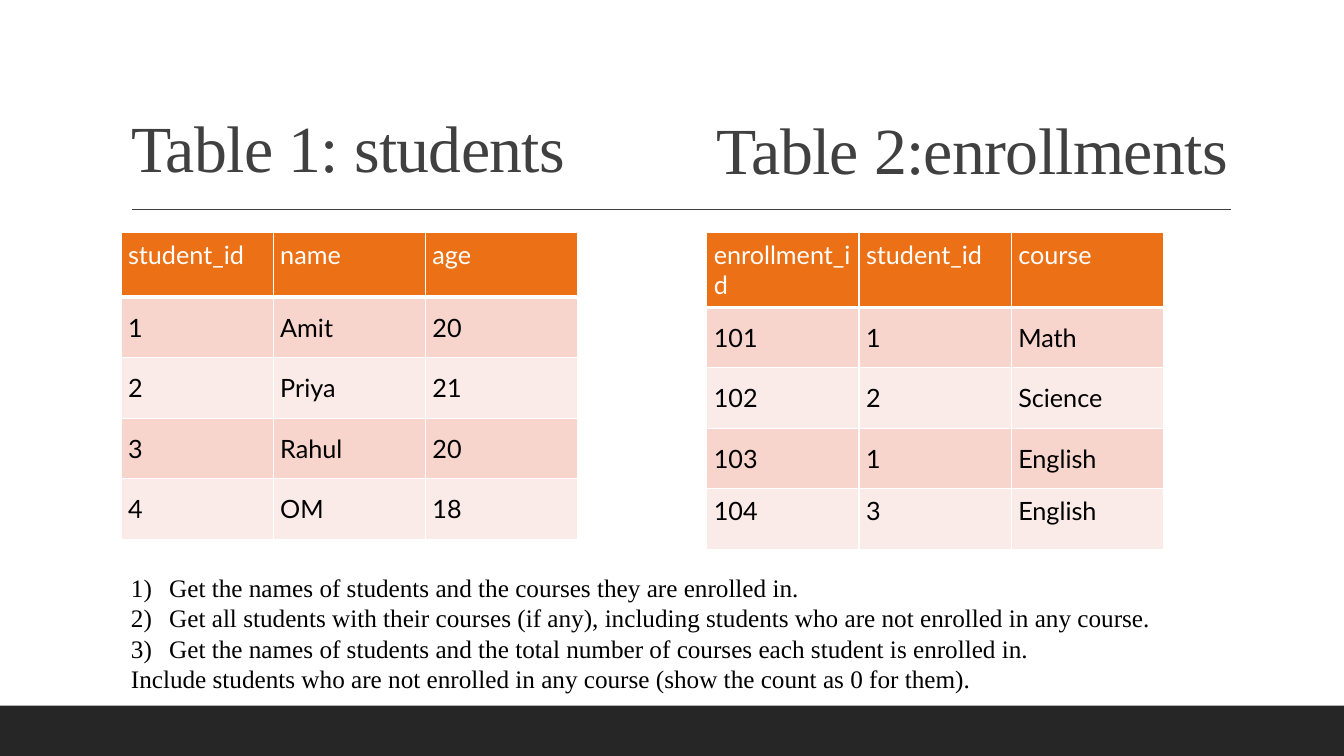
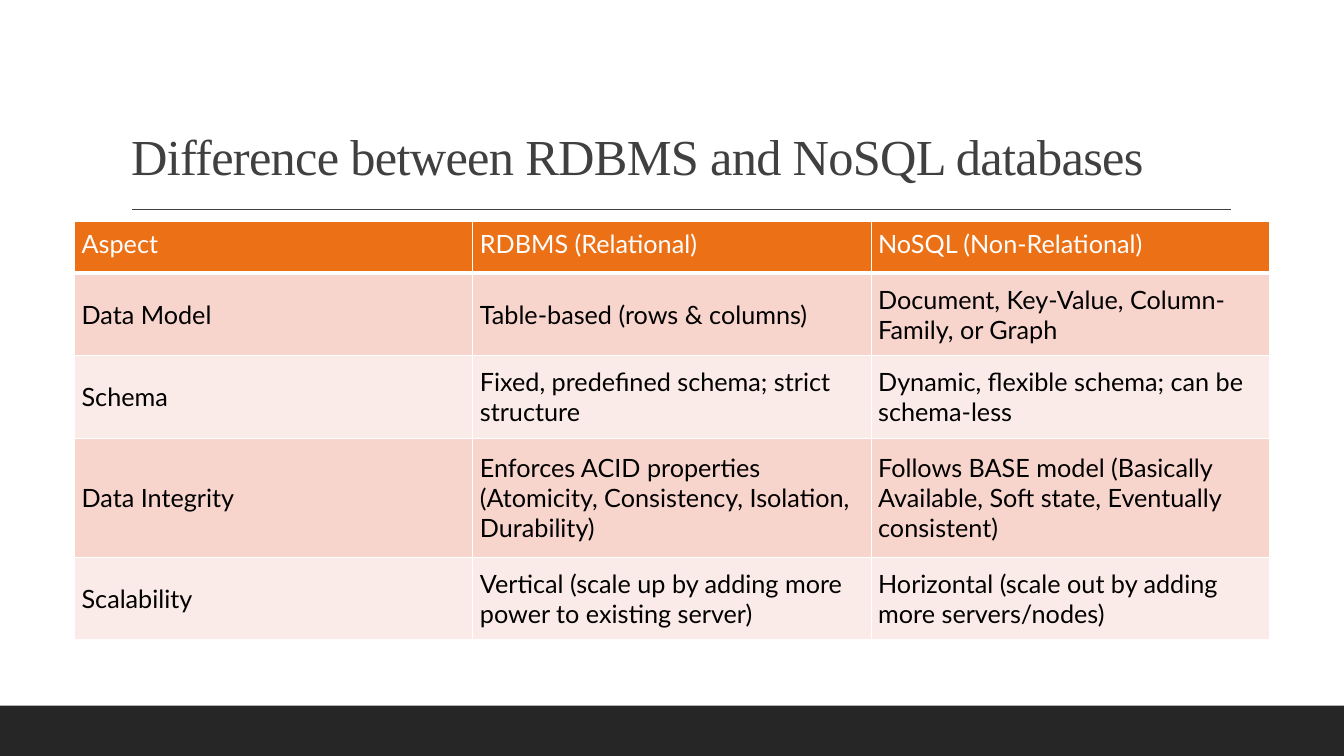
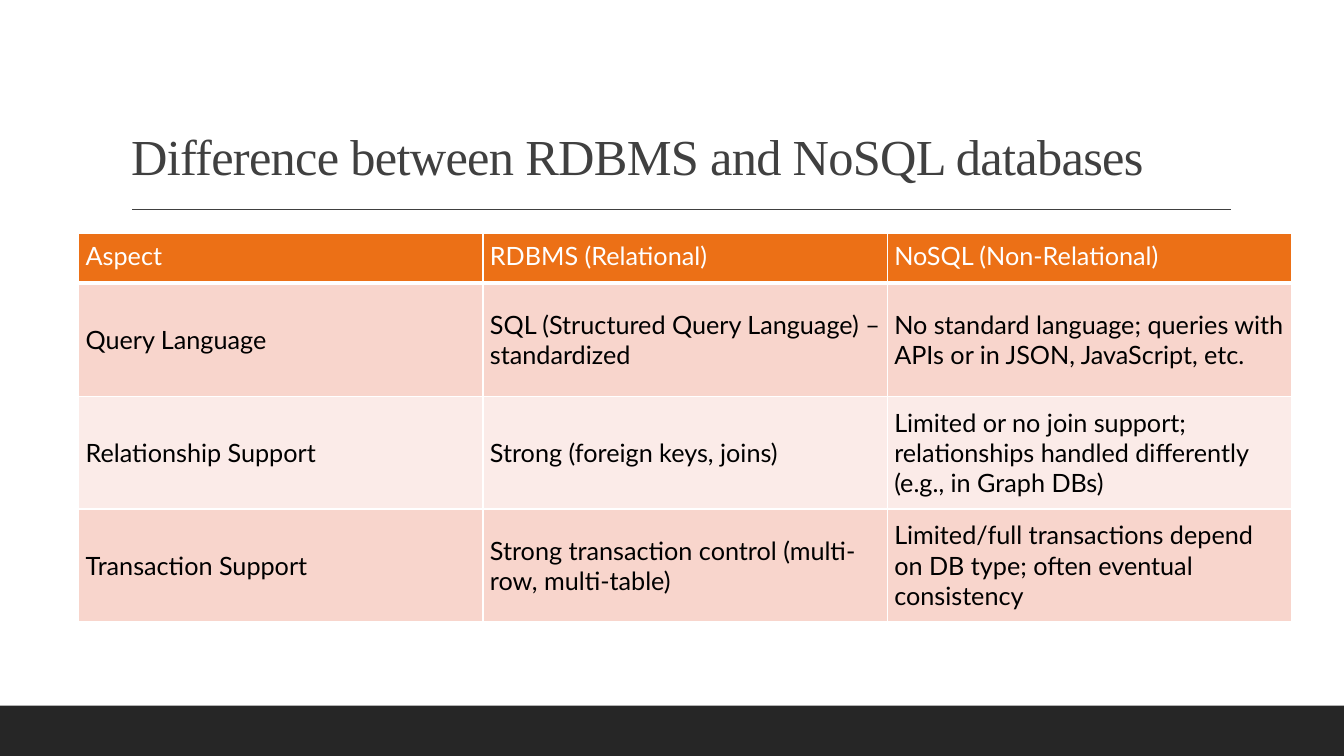
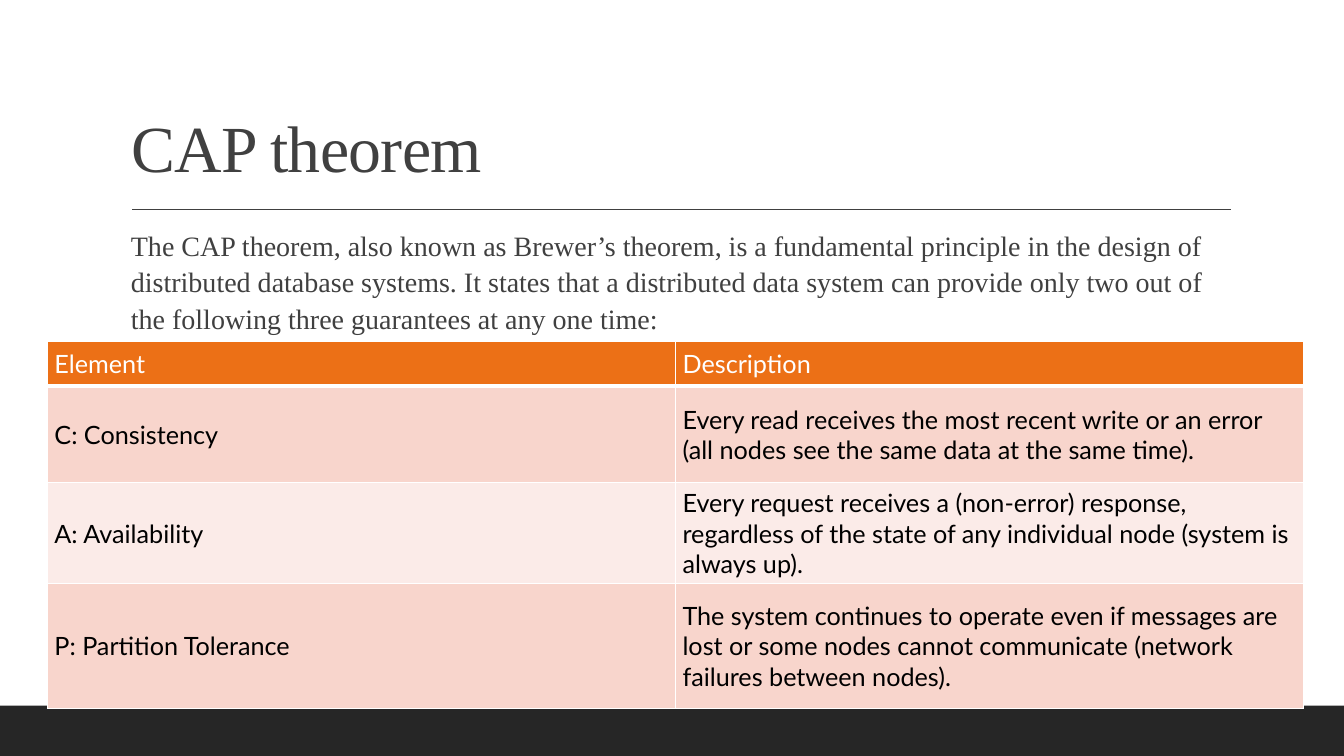
"""Build four slides on SQL joins, NoSQL databases and the CAP theorem."""
from dataclasses import dataclass

from lxml import etree
from pptx import Presentation, util as u
from pptx.dml.color import RGBColor
from pptx.enum import shapes, text
from pptx.oxml import ns


@dataclass(frozen=True)
class Theme:
    """Colours, fonts and type sizes of the deck."""
    band: str = "262626"
    grey: str = "404040"
    head: str = "EC7016"
    odd: str = "F8D5CC"
    even: str = "FBEBE8"
    white: str = "FFFFFF"
    black: str = "000000"
    serif: str = "Times New Roman"
    sans: str = "Lato"
    big: int = 47
    mid: int = 36
    lead: int = 20
    base: int = 18


T = Theme()
TITLE = dict(font=T.serif, color=T.grey, lines=0.9, track=-50)
ASPECT = ["Aspect", "RDBMS (Relational)", "NoSQL (Non-Relational)"]
VERSUS = "Difference between RDBMS and NoSQL databases"


def paint(fill, color):
    """Give a fill one solid colour."""
    fill.solid()
    fill.fore_color.rgb = RGBColor.from_string(color)


def number(para):
    """Number a paragraph with a hanging indent."""
    props = para._p.get_or_add_pPr()
    hang = u.Inches(0.38)
    props.set("marL", str(hang))
    props.set("indent", str(-hang))
    etree.SubElement(props, ns.qn("a:buAutoNum"), type="arabicParenR")


def write(frame, *lines, size=T.base, font=T.sans, color=T.black, lines_num=0,
          lines_gap=(None, None), lines_set=None, track=0, **more):
    """Fill a text frame with paragraphs in one format."""
    frame.word_wrap = True
    for i, line in enumerate(lines):
        para = frame.paragraphs[0] if i == 0 else frame.add_paragraph()
        para.alignment = text.PP_ALIGN.LEFT
        para.line_spacing = more.get("lines", lines_set)
        para.space_before, para.space_after = lines_gap
        if i < lines_num:
            number(para)
        run = para.add_run()
        run.text = line
        run.font.size = u.Pt(size)
        run.font.name = font
        run.font.bold = False
        run.font.color.rgb = RGBColor.from_string(color)
        if track:
            run.font._element.set("spc", str(track))


def place(shape, *box):
    """Set left, top, width and height in inches."""
    shape.left, shape.top, shape.width, shape.height = map(u.Inches, box)


def label(slide, box, *lines, low=False, **form):
    """Add a text box."""
    frame = slide.shapes.add_textbox(*map(u.Inches, box)).text_frame
    if low:
        frame.vertical_anchor = text.MSO_ANCHOR.BOTTOM
    write(frame, *lines, **form)


def start(pres, title, size=T.big):
    """Add a slide with its title."""
    slide = pres.slides.add_slide(pres.slide_layouts[5])
    head = slide.shapes.title
    place(head, 1.2, 0.31, 11, 1.59)
    head.text_frame.auto_size = text.MSO_AUTO_SIZE.NONE
    head.text_frame.vertical_anchor = text.MSO_ANCHOR.BOTTOM
    write(head.text_frame, title, size=size, **TITLE)
    return slide


def dress(pres, slide):
    """Draw the footer band and title rule, then move them to the layout."""
    band = slide.shapes.add_shape(
        shapes.MSO_SHAPE.RECTANGLE, 0, u.Inches(7), pres.slide_width, u.Inches(0.5))
    band.shadow.inherit = False
    paint(band.fill, T.band)
    band.line.fill.background()
    rule = slide.shapes.add_connector(
        shapes.MSO_CONNECTOR.STRAIGHT, *map(u.Inches, (1.31, 2.08, 12.21, 2.08)))
    rule.line.width = u.Pt(1)
    rule.line.color.rgb = RGBColor.from_string(T.grey)
    etree.SubElement(rule._element.spPr, ns.qn("a:effectLst"))
    for shape in (band, rule):
        slide.slide_layout.shapes.element.append(shape.element)


def edge(cell, side, width):
    """Draw one white cell border."""
    line = etree.SubElement(cell._tc.get_or_add_tcPr(), ns.qn("a:ln" + side),
                            w=str(u.Pt(width)))
    fill = etree.SubElement(line, ns.qn("a:solidFill"))
    etree.SubElement(fill, ns.qn("a:srgbClr"), val=T.white)


def grid(slide, left, top, width, highs, rows, tops=(0,)):
    """Add a banded table; rows listed in tops hang their text from the top."""
    count = len(rows[0])
    box = map(u.Inches, (left, top, width * count, sum(highs)))
    table = slide.shapes.add_table(len(rows), count, *box).table
    for col in table.columns:
        col.width = u.Inches(width)
    for r, row in enumerate(rows):
        table.rows[r].height = u.Inches(highs[r])
        shade = T.head if r == 0 else T.odd if r % 2 else T.even
        pad = 0.07 if r in tops else 0.05
        for c, words in enumerate(row):
            cell = table.cell(r, c)
            cell.margin_left = cell.margin_right = u.Inches(0.07)
            cell.margin_top = cell.margin_bottom = u.Inches(pad)
            cell.vertical_anchor = (text.MSO_ANCHOR.TOP if r in tops
                                    else text.MSO_ANCHOR.MIDDLE)
            for side in "LRTB":
                edge(cell, side, 3 if (r, side) in ((0, "B"), (1, "T")) else 1)
            paint(cell.fill, shade)
            write(cell.text_frame, words, color=T.black if r else T.white)


def joins(pres):
    """Show the two sample tables and the tasks."""
    slide = start(pres, "Table 1: students")
    dress(pres, slide)
    highs = [0.64] + [0.6] * 4
    grid(slide, 1.2, 2.31, 1.51, highs, [
        ["student_id", "name", "age"],
        ["1", "Amit", "20"],
        ["2", "Priya", "21"],
        ["3", "Rahul", "20"],
        ["4", "OM", "18"]])
    label(slide, (7.01, 0.33, 6.3, 1.59), "Table 2:enrollments",
          low=True, size=T.big, **TITLE)
    grid(slide, 7.01, 2.31, 1.51, highs, [
        ["enrollment_id", "student_id", "course"],
        ["101", "1", "Math"],
        ["102", "2", "Science"],
        ["103", "1", "English"],
        ["104", "3", "English"]], tops=(0, 4))
    label(slide, (1.2, 5.63, 11.45, 1.31),
          "Get the names of students and the courses they are enrolled in.",
          "Get all students with their courses (if any), including students "
          "who are not enrolled in any course.",
          "Get the names of students and the total number of courses each "
          "student is enrolled in.",
          "Include students who are not enrolled in any course (show the "
          "count as 0 for them).",
          font=T.serif, lines_num=3)


def models(pres):
    """Compare data model, schema, integrity and scaling."""
    slide = start(pres, VERSUS, T.mid)
    grid(slide, 0.74, 2.2, 3.95, [0.51, 0.82, 0.82, 1.18, 0.82], [
        ASPECT,
        ["Data Model", "Table-based (rows & columns)",
         "Document, Key-Value, Column-Family, or Graph"],
        ["Schema", "Fixed, predefined schema; strict structure",
         "Dynamic, flexible schema; can be schema-less"],
        ["Data Integrity",
         "Enforces ACID properties (Atomicity, Consistency, Isolation, Durability)",
         "Follows BASE model (Basically Available, Soft state, Eventually consistent)"],
        ["Scalability",
         "Vertical (scale up by adding more power to existing server)",
         "Horizontal (scale out by adding more servers/nodes)"]])


def support(pres):
    """Compare queries, relationships and transactions."""
    slide = start(pres, VERSUS, T.mid)
    grid(slide, 0.78, 2.32, 4.01, [0.49] + [1.12] * 3, [
        ASPECT,
        ["Query Language", "SQL (Structured Query Language) – standardized",
         "No standard language; queries with APIs or in JSON, JavaScript, etc."],
        ["Relationship Support", "Strong (foreign keys, joins)",
         "Limited or no join support; relationships handled differently "
         "(e.g., in Graph DBs)"],
        ["Transaction Support",
         "Strong transaction control (multi-row, multi-table)",
         "Limited/full transactions depend on DB type; often eventual consistency"]])


def theorem(pres):
    """Explain the CAP theorem."""
    slide = start(pres, "CAP theorem")
    label(slide, (1.2, 2.18, 11, 1.2),
          "The CAP theorem, also known as Brewer’s theorem, is a fundamental "
          "principle in the design of distributed database systems. It states "
          "that a distributed data system can provide only two out of the "
          "following three guarantees at any one time:",
          size=T.lead, font=T.serif, color=T.grey, lines=1.1,
          lines_gap=(u.Pt(12), u.Pt(2)))
    grid(slide, 0.47, 3.39, 6.23, [0.41, 0.96, 0.96, 1.24], [
        ["Element", "Description"],
        ["C: Consistency",
         "Every read receives the most recent write or an error (all nodes "
         "see the same data at the same time)."],
        ["A: Availability",
         "Every request receives a (non-error) response, regardless of the "
         "state of any individual node (system is always up)."],
        ["P: Partition Tolerance",
         "The system continues to operate even if messages are lost or some "
         "nodes cannot communicate (network failures between nodes)."]])


def main():
    """Build and save the deck."""
    pres = Presentation()
    pres.slide_width, pres.slide_height = u.Inches(13.33), u.Inches(7.5)
    for build in (joins, models, support, theorem):
        build(pres)
    pres.save("out.pptx")


if __name__ == "__main__":
    main()
